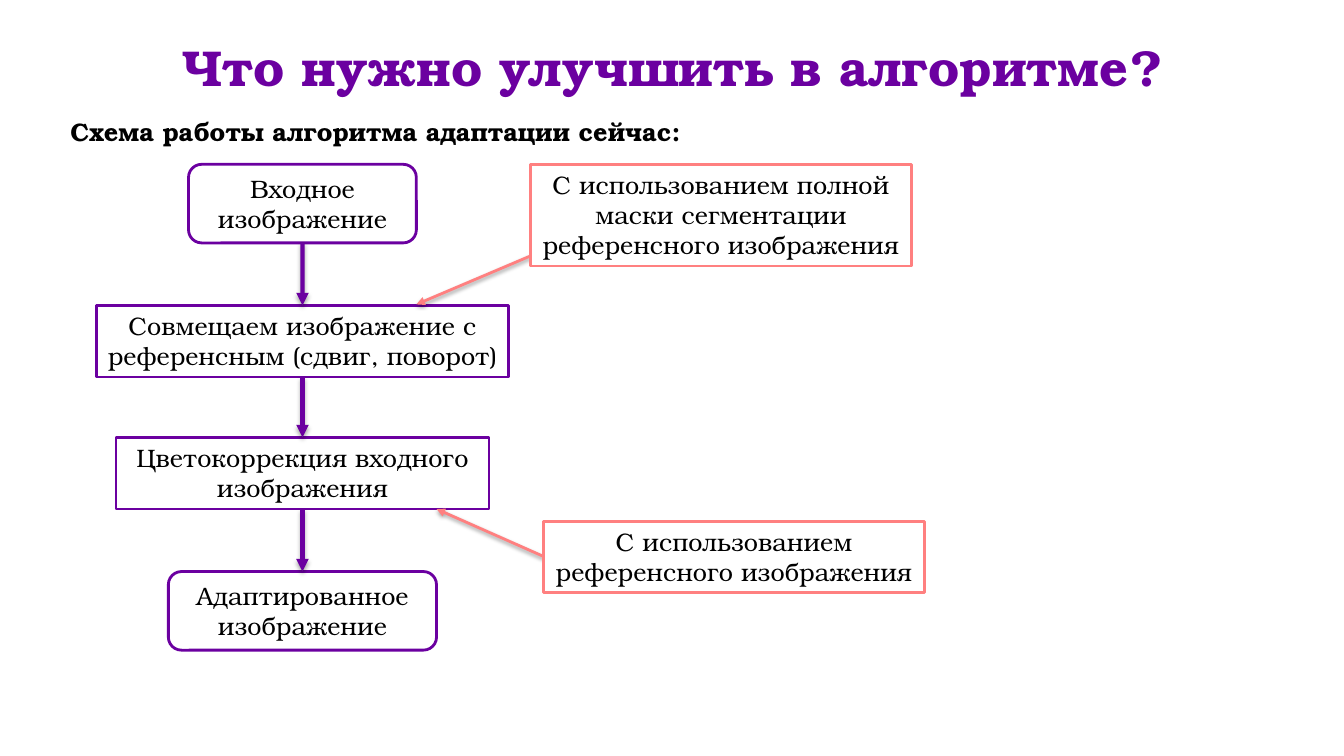
from itertools import pairwise

from lxml.etree import SubElement
from pptx import Presentation
from pptx.dml.color import RGBColor
from pptx.enum.shapes import MSO_CONNECTOR, MSO_SHAPE
from pptx.enum.text import MSO_ANCHOR, MSO_AUTO_SIZE, PP_ALIGN
from pptx.oxml.ns import qn
from pptx.util import Inches, Pt

PURPLE = RGBColor(0x6B, 0x00, 0xA0)
PINK = RGBColor(0xFF, 0x80, 0x80)
BLACK = RGBColor(0, 0, 0)
WHITE = RGBColor(0xFF, 0xFF, 0xFF)
RECT, ROUND = MSO_SHAPE.RECTANGLE, MSO_SHAPE.ROUNDED_RECTANGLE
AXIS = 3  # centre of the flow column, inches

# text, shape, top, width, height
STEPS = [
    ("Входное изображение", ROUND, 1.63, 2.26, 0.78),
    ("Совмещаем изображение с референсным (сдвиг, поворот)", RECT, 3.03, 4.09, 0.71),
    ("Цветокоррекция входного изображения", RECT, 4.34, 3.7, 0.71),
    ("Адаптированное изображение", ROUND, 5.67, 2.66, 0.78),
]
# text, left, top, height, arrow start, arrow end
NOTES = [
    ("С использованием полной маски сегментации референсного изображения",
     5.26, 1.63, 1.01, (5.26, 2.54), (4.13, 3.02)),
    ("С использованием референсного изображения",
     5.39, 5.17, 0.71, (5.39, 5.52), (4.33, 5.05)),
]


class Board:
    font = "TeX Gyre Bonum"

    def __init__(self, deck):
        self.slide = deck.slides.add_slide(deck.slide_layouts[5])
        self.shapes = self.slide.shapes

    def put(self, frame, text, size=18, color=BLACK, bold=False, align=PP_ALIGN.CENTER):
        """Set the text of a frame and its style."""
        frame.text = text
        line = frame.paragraphs[0]
        line.alignment = align
        font = line.font
        font.name, font.size, font.bold = self.font, Pt(size), bold
        font.color.rgb = color

    def title(self, text):
        box = self.shapes.title
        box.left, box.top = Inches(0.17), Inches(0)
        box.width, box.height = Inches(13), Inches(1.31)
        box.text_frame.vertical_anchor = MSO_ANCHOR.MIDDLE
        self.put(box.text_frame, text, 36, PURPLE, True)

    def label(self, text, *place):
        frame = self.shapes.add_textbox(*map(Inches, place)).text_frame
        frame.word_wrap = False
        frame.auto_size = MSO_AUTO_SIZE.SHAPE_TO_FIT_TEXT
        self.put(frame, text, bold=True, align=PP_ALIGN.LEFT)

    def box(self, text, kind, color, *place):
        box = self.shapes.add_shape(kind, *map(Inches, place))
        box.shadow.inherit = False
        box.fill.solid()
        box.fill.fore_color.rgb = WHITE
        box.line.color.rgb, box.line.width = color, Pt(2)
        frame = box.text_frame
        frame.word_wrap = True
        frame.vertical_anchor = MSO_ANCHOR.TOP
        frame.auto_size = MSO_AUTO_SIZE.SHAPE_TO_FIT_TEXT
        self.put(frame, text)
        return box

    def arrow(self, color, width, start, end, alpha, dist):
        """Draw an arrow with a soft shadow below; alpha in percent, dist in points."""
        arrow = self.shapes.add_connector(
            MSO_CONNECTOR.STRAIGHT, *map(Inches, (*start, *end)))
        arrow.line.color.rgb, arrow.line.width = color, Pt(width)
        props = arrow._element.spPr
        SubElement(props.get_or_add_ln(), qn("a:tailEnd"), type="triangle")
        effects = SubElement(props, qn("a:effectLst"))
        shade = SubElement(effects, qn("a:outerShdw"), blurRad=str(Pt(3.1)),
                           dist=str(Pt(dist)), dir="5400000", rotWithShape="0")
        tint = SubElement(shade, qn("a:srgbClr"), val=str(BLACK))
        SubElement(tint, qn("a:alpha"), val=str(alpha * 1000))
        return arrow

    def link(self, upper, lower):
        """Join the bottom of one box to the top of the next."""
        arrow = self.arrow(PURPLE, 3, (AXIS, 0), (AXIS, 1), 35, 1.8)
        arrow.begin_connect(upper, 2)
        arrow.end_connect(lower, 0)


def main():
    deck = Presentation()
    deck.slide_width, deck.slide_height = Inches(13.33), Inches(7.5)
    board = Board(deck)
    board.title("Что нужно улучшить в алгоритме?")
    board.label("Схема работы алгоритма адаптации сейчас:", 0.6, 1.11, 6.37, 0.4)
    flow = [board.box(text, kind, PURPLE, AXIS - width / 2, top, width, height)
            for text, kind, top, width, height in STEPS]
    for upper, lower in pairwise(flow):
        board.link(upper, lower)
    for text, left, top, height, start, end in NOTES:
        board.arrow(PINK, 2, start, end, 38, 1.6)
        board.box(text, RECT, PINK, left, top, 3.78, height)
    deck.save("out.pptx")


if __name__ == "__main__":
    main()
